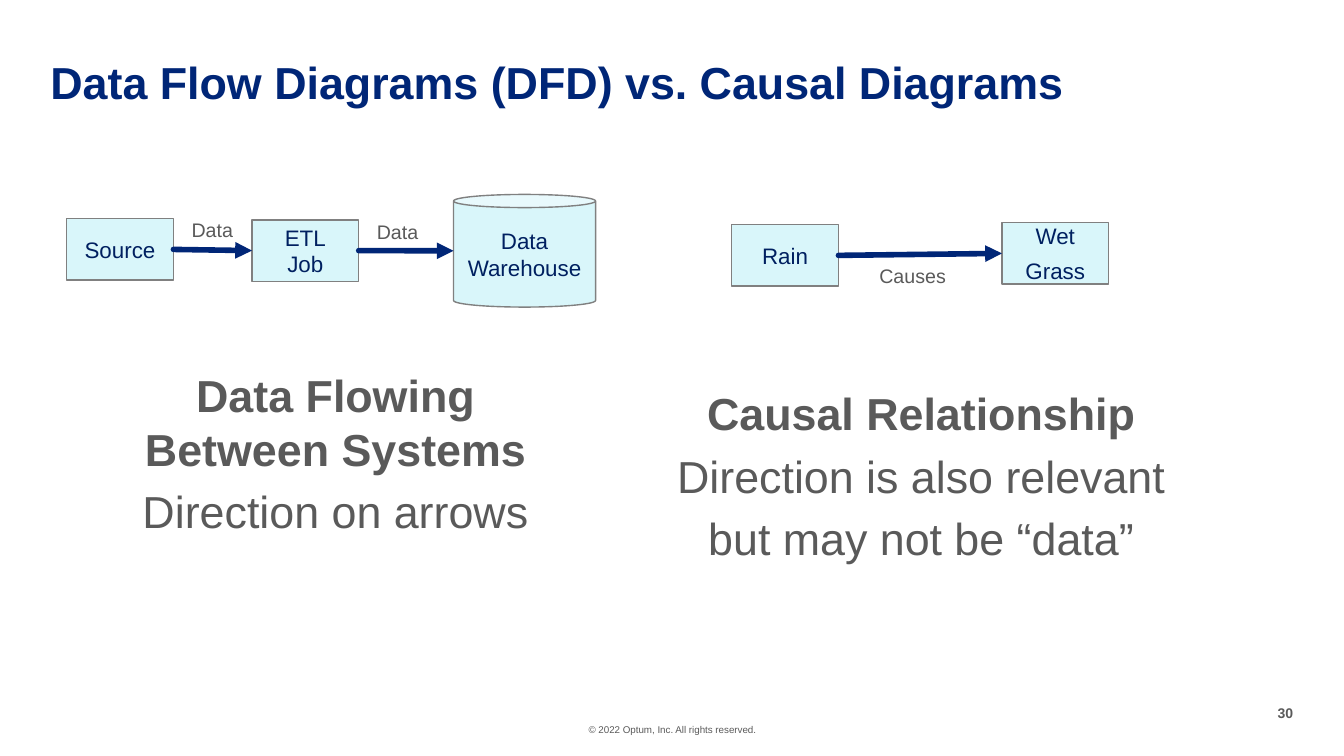
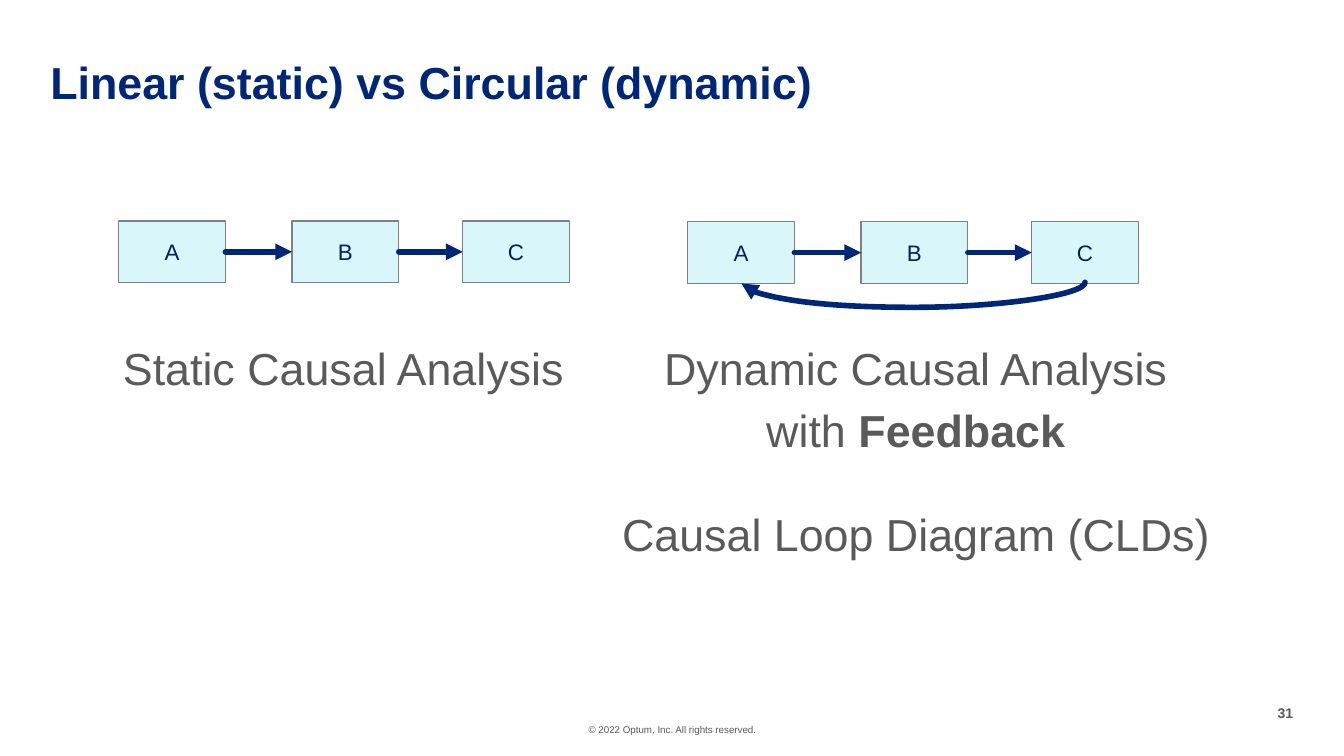
import pptx
import pptx.dml.color
import pptx.enum.shapes
import pptx.enum.text
import pptx.oxml
import pptx.oxml.ns
import pptx.util

Cm = pptx.util.Cm
Pt = pptx.util.Pt
RGBColor = pptx.dml.color.RGBColor
MSO_SHAPE = pptx.enum.shapes.MSO_SHAPE
MSO_CONNECTOR = pptx.enum.shapes.MSO_CONNECTOR
PP_ALIGN = pptx.enum.text.PP_ALIGN
MSO_ANCHOR = pptx.enum.text.MSO_ANCHOR

TITLE_BLUE = RGBColor(0x00, 0x26, 0x77)
NODE_TEXT = RGBColor(0x00, 0x20, 0x60)
NODE_FILL = RGBColor(0xD9, 0xF6, 0xFA)
NODE_LINE = RGBColor(0x80, 0x80, 0x80)
GREY = RGBColor(0x5A, 0x5A, 0x5A)

FONT = "Arial"
NODE_WIDTH, NODE_HEIGHT = 2.69, 1.55
RECT, CAN = MSO_SHAPE.RECTANGLE, MSO_SHAPE.CAN
NS = 'xmlns:a="http://schemas.openxmlformats.org/drawingml/2006/main"'


def write(shape, paragraphs, size, colour, align=PP_ALIGN.CENTER, gap=0, wrap=True, anchor=MSO_ANCHOR.TOP):
    frame = shape.text_frame
    frame.word_wrap = wrap
    frame.vertical_anchor = anchor
    frame.margin_left = frame.margin_right = frame.margin_top = frame.margin_bottom = 0
    for number, runs in enumerate(paragraphs):
        paragraph = frame.add_paragraph() if number else frame.paragraphs[0]
        paragraph.alignment = align
        if number:
            paragraph.space_before = Pt(gap)
        for text, bold in runs:
            for part, line in enumerate(text.split("\n")):
                if part:
                    paragraph.add_line_break()
                run = paragraph.add_run()
                run.text = line
                run.font.name = FONT
                run.font.size = Pt(size)
                run.font.bold = bold
                run.font.color.rgb = colour
    return frame


def style_arrow(arrow):
    arrow.line.color.rgb = TITLE_BLUE
    arrow.line.width = Pt(4)
    line = arrow.line._get_or_add_ln()
    line.set("cap", "rnd")
    line.append(pptx.oxml.parse_xml(f'<a:tailEnd {NS} type="triangle"/>'))
    arrow._element.spPr.append(pptx.oxml.parse_xml(f"<a:effectLst {NS}/>"))


chain_nodes = [
    (RECT, left + shift, top, NODE_WIDTH, NODE_HEIGHT, [letter], 0)
    for shift, top in ((0, 5.57), (14.34, 5.59))
    for left, letter in ((2.99, "A"), (7.36, "B"), (11.66, "C"))
]

contents = [
    {
        "number": "30",
        "title": "Data Flow Diagrams (DFD) vs. Causal Diagrams",
        "nodes": [
            (RECT, 1.68, 5.51, NODE_WIDTH, NODE_HEIGHT, ["Source"], 0),
            (RECT, 6.35, 5.54, NODE_WIDTH, NODE_HEIGHT, ["ETL", "Job"], 0),
            (CAN, 11.43, 4.9, 3.58, 2.84, ["Data", "Warehouse"], 0),
            (RECT, 18.44, 5.66, NODE_WIDTH, NODE_HEIGHT, ["Rain"], 0),
            (RECT, 25.25, 5.61, NODE_WIDTH, NODE_HEIGHT, ["Wet", "Grass"], 6),
        ],
        "arrows": [(0, 1), (1, 2), (3, 4)],
        "texts": [
            (3.52, 9.27, 9.88, 4.32, 32, [
                [("Data Flowing\nBetween Systems", True)],
                [("Direction on arrows", False)],
            ]),
            (17.02, 9.73, 12.4, 4.52, 32, [
                [("Causal Relationship", True)],
                [("Direction is also relevant", False)],
                [("but may not be “data”", False)],
            ]),
            (21.9, 6.65, 2.2, 0.6, 14, [[("Causes", False)]]),
            (4.55, 5.49, 1.6, 0.6, 14, [[("Data", False)]]),
            (9.22, 5.54, 1.6, 0.6, 14, [[("Data", False)]]),
        ],
    },
    {
        "number": "31",
        "title": "Linear (static) vs Circular (dynamic)",
        "nodes": chain_nodes,
        "arrows": [(0, 1), (1, 2), (3, 4), (4, 5)],
        "texts": [
            (3.06, 8.59, 11.2, 1.37, 32, [[("Static Causal Analysis", False)]]),
            (16.69, 8.59, 12.78, 2.95, 32, [
                [("Dynamic Causal Analysis", False)],
                [("with ", False), ("Feedback", True)],
            ]),
            (15.62, 12.78, 14.94, 1.37, 32, [[("Causal Loop Diagram (CLDs)", False)]]),
        ],
    },
]

deck = pptx.Presentation()
deck.slide_width = Cm(33.87)
deck.slide_height = Cm(19.05)

for content in contents:
    slide = deck.slides.add_slide(deck.slide_layouts[6])
    shapes = slide.shapes

    copyright_line = shapes.add_textbox(Cm(13.06), Cm(18.24), Cm(7.77), Cm(0.3))
    write(copyright_line, [[("© 2022 Optum, Inc. All rights reserved.", False)]], 7, GREY)
    page_number = shapes.add_textbox(Cm(31.09), Cm(17.75), Cm(1.5), Cm(0.43))
    write(page_number, [[(content["number"], True)]], 10, GREY, PP_ALIGN.RIGHT)
    title = shapes.add_textbox(Cm(1.27), Cm(1.53), Cm(26.67), Cm(1.22))
    title_frame = write(title, [[(content["title"], True)]], 32, TITLE_BLUE, PP_ALIGN.LEFT)
    title_frame.paragraphs[0].line_spacing = 0.9

    nodes = []
    for kind, left, top, width, height, words, gap in content["nodes"]:
        node = shapes.add_shape(kind, Cm(left), Cm(top), Cm(width), Cm(height))
        node.shadow.inherit = False
        node.fill.solid()
        node.fill.fore_color.rgb = NODE_FILL
        node.line.color.rgb = NODE_LINE
        node.line.width = Pt(1)
        if kind == CAN:
            node.adjustments[0] = 0.117
        write(node, [[(word, False)] for word in words], 16, NODE_TEXT, gap=gap, anchor=MSO_ANCHOR.MIDDLE)
        nodes.append(node)

    for source, target in content["arrows"]:
        cause, effect = nodes[source], nodes[target]
        arrow = shapes.add_connector(
            MSO_CONNECTOR.STRAIGHT,
            cause.left + cause.width, cause.top + cause.height // 2,
            effect.left, effect.top + effect.height // 2,
        )
        arrow.begin_connect(cause, 3)
        if effect.auto_shape_type == RECT:
            arrow.end_connect(effect, 1)
        style_arrow(arrow)

    for left, top, width, height, size, paragraphs in content["texts"]:
        caption = shapes.add_textbox(Cm(left), Cm(top), Cm(width), Cm(height))
        write(caption, paragraphs, size, GREY, gap=6, wrap=False)

feedback = shapes.add_connector(MSO_CONNECTOR.CURVE, Cm(23), Cm(2.8), Cm(23.03), Cm(11.46))
feedback._element.spPr.find(pptx.oxml.ns.qn("a:xfrm")).set("rot", "5400000")
bend = feedback._element.spPr.find(pptx.oxml.ns.qn("a:prstGeom")).get_or_add_avLst()
bend.append(pptx.oxml.parse_xml(f'<a:gd {NS} name="adj1" fmla="val 2100000"/>'))
style_arrow(feedback)

deck.save("out.pptx")
